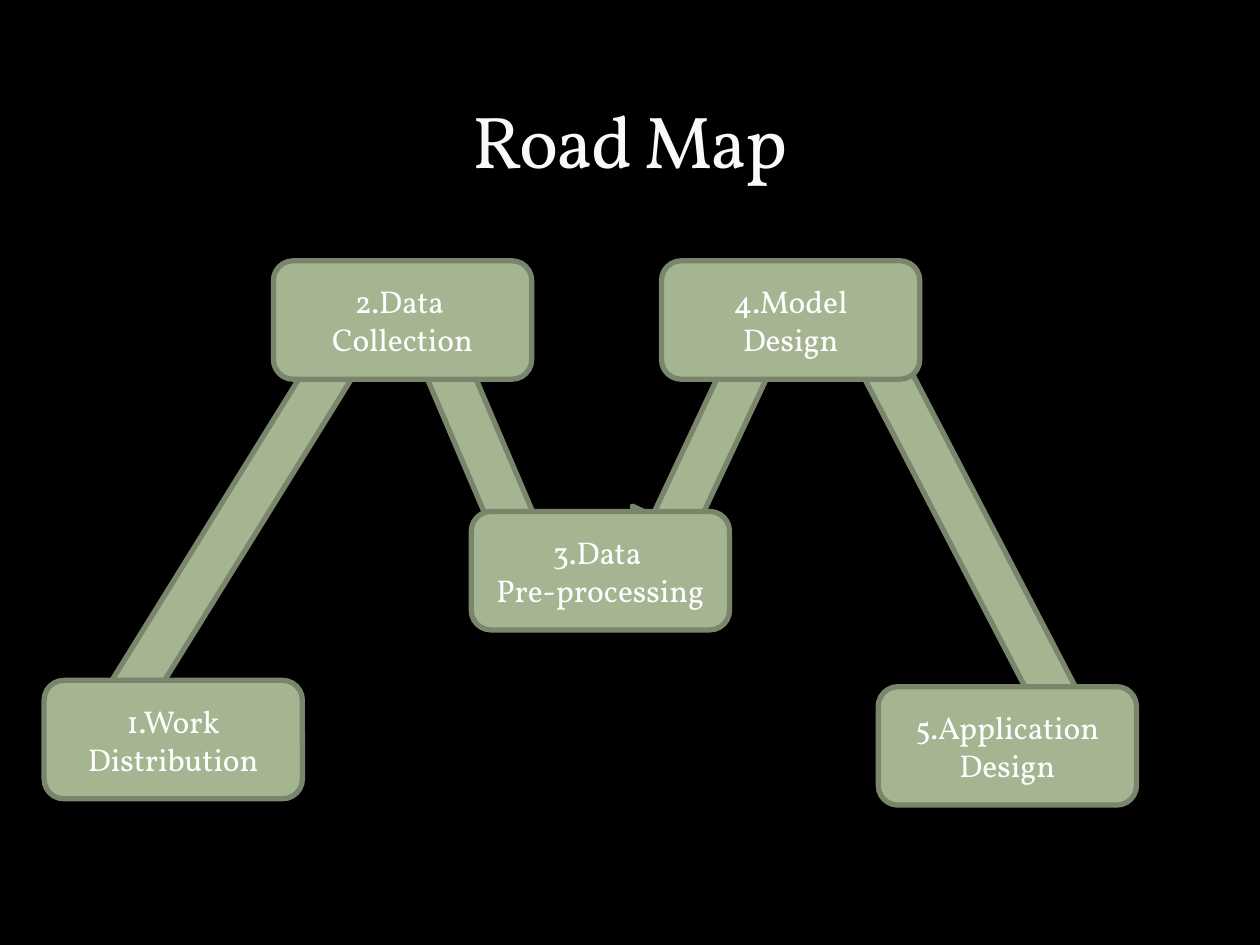
from collections import namedtuple
from dataclasses import dataclass

from pptx import Presentation
from pptx.dml.color import RGBColor
from pptx.enum.shapes import MSO_SHAPE as Preset
from pptx.enum.text import MSO_ANCHOR as Anchor, PP_ALIGN as Align
from pptx.util import Inches, Pt

Box = namedtuple("Box", "left top width height")


@dataclass(frozen=True)
class Theme:
    background: RGBColor = RGBColor(0x00, 0x00, 0x00)
    fill: RGBColor = RGBColor(0xA5, 0xB5, 0x92)
    line: RGBColor = RGBColor(0x7A, 0x86, 0x6C)
    title: RGBColor = RGBColor(0xF9, 0xF9, 0xF9)
    label: RGBColor = RGBColor(0xFF, 0xFF, 0xFF)
    font: str = "Vollkorn"
    title_size: Pt = Pt(42)
    label_size: Pt = Pt(18)
    line_width: Pt = Pt(3)


THEME = Theme()

STEP_WIDTH, STEP_HEIGHT = 2.05, 0.94
ARROW_HEIGHT = 0.71

# Left, top and the two lines of each step
STEPS = [
    (2.17, 2.07, ("2.Data ", "Collection")),
    (0.35, 5.4, ("1.Work", "Distribution")),
    (3.74, 4.06, ("3.Data ", "Pre-processing")),
    (5.25, 2.07, ("4.Model", "Design")),
    (6.97, 5.45, ("5.Application", "Design")),
]

# Left, top, length and rotation of each arrow
ARROWS = [
    (5.92, 4.06, 3.75, 62.5),
    (4.64, 3.27, 1.91, 115.2),
    (0.18, 3.67, 3.54, 301.8),
    (2.97, 3.45, 1.91, 66.9),
]


def write_lines(frame, lines, size, color, anchor):
    frame.word_wrap = True
    frame.vertical_anchor = anchor
    for index, line in enumerate(lines):
        para = frame.paragraphs[0] if index == 0 else frame.add_paragraph()
        para.alignment = Align.CENTER
        para.font.name = THEME.font
        para.font.size = size
        para.font.color.rgb = color
        para.add_run().text = line


def add_title(page, box, text):
    frame = page.shapes.add_textbox(*map(Inches, box)).text_frame
    write_lines(frame, [text], THEME.title_size, THEME.title, Anchor.BOTTOM)
    for span in frame.paragraphs[0].runs:
        span.font._element.set("spc", "-100")  # one point tighter


def add_panel(page, preset, box):
    """Add a preset shape in the road map's fill and outline."""
    panel = page.shapes.add_shape(preset, *map(Inches, box))
    panel.shadow.inherit = False
    panel.fill.solid()
    panel.fill.fore_color.rgb = THEME.fill
    panel.line.color.rgb = THEME.line
    panel.line.width = THEME.line_width
    return panel


def add_arrow(page, box, rotation):
    add_panel(page, Preset.RIGHT_ARROW, box).rotation = rotation


def add_step(page, box, lines):
    step = add_panel(page, Preset.ROUNDED_RECTANGLE, box)
    write_lines(step.text_frame, lines, THEME.label_size, THEME.label, Anchor.MIDDLE)


def add_road_map(page, area):
    """Place the arrows, then the steps that cover their ends."""
    for left, top, length, rotation in ARROWS:
        box = Box(area.left + left, area.top + top, length, ARROW_HEIGHT)
        add_arrow(page, box, rotation)
    for left, top, lines in STEPS:
        box = Box(area.left + left, area.top + top, STEP_WIDTH, STEP_HEIGHT)
        add_step(page, box, lines)


def main():
    deck = Presentation()
    deck.slide_width, deck.slide_height = Inches(10), Inches(7.5)
    page = deck.slides.add_slide(deck.slide_layouts[6])
    page.background.fill.solid()
    page.background.fill.fore_color.rgb = THEME.background
    add_title(page, Box(0.5, 0.17, 9, 1.33), "Road Map")
    add_road_map(page, Box(0, 0, 10, 7.5))
    deck.save("out.pptx")


if __name__ == "__main__":
    main()
